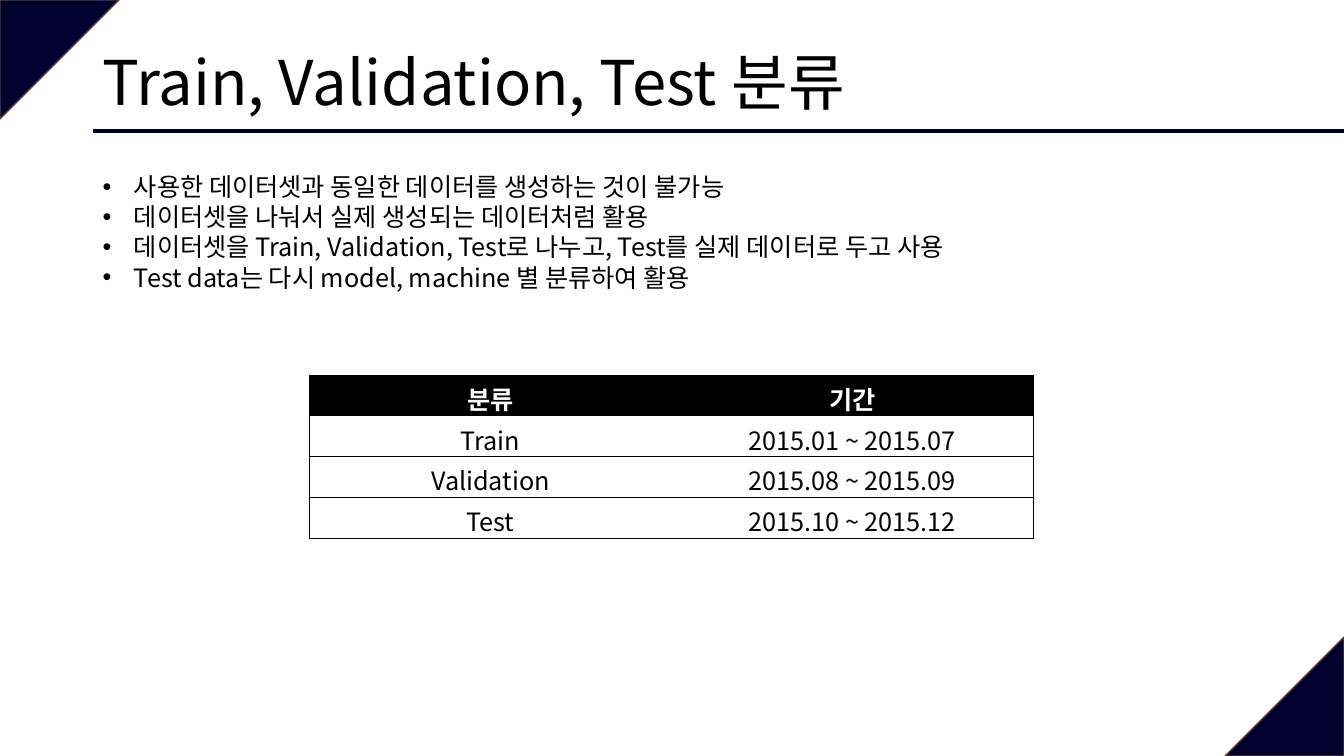
from lxml import etree
from pptx import Presentation
from pptx.dml.color import RGBColor
from pptx.enum.shapes import MSO_CONNECTOR, MSO_SHAPE
from pptx.enum.text import MSO_ANCHOR, MSO_AUTO_SIZE, PP_ALIGN
from pptx.oxml.ns import qn
from pptx.util import Inches, Pt

NAVY = RGBColor(0x00, 0x00, 0x2F)
BROWN = RGBColor(0x5B, 0x3F, 0x33)
BLACK = RGBColor(0x00, 0x00, 0x00)
WHITE = RGBColor(0xFF, 0xFF, 0xFF)
FONT = "Noto Sans CJK KR"


def write(paragraph, text, size, color=BLACK, bold=False):
    run = paragraph.add_run()
    run.text = text
    style = {"name": FONT, "size": Pt(size), "bold": bold}
    for name, value in style.items():
        setattr(run.font, name, value)
    run.font.color.rgb = color
    latin = run.font._element.find(qn("a:latin"))
    latin.addnext(etree.Element(qn("a:ea"), typeface=FONT))


def add_border(cell, position, side, visible):
    """Insert one cell edge; position keeps the order the schema asks for."""
    line = etree.Element(qn("a:ln" + side), w=str(Pt(0.5)))
    if visible:
        fill = etree.SubElement(line, qn("a:solidFill"))
        etree.SubElement(fill, qn("a:srgbClr"), val=str(BLACK))
    else:
        etree.SubElement(line, qn("a:noFill"))
    cell._tc.get_or_add_tcPr().insert(position, line)


prs = Presentation()
prs.slide_width = Inches(13.33)
prs.slide_height = Inches(7.5)
slide = prs.slides.add_slide(prs.slide_layouts[5])

# Corner triangles and title rule
for left, top, rotation in [(0, 0, 90), (12.15, 6.32, 270)]:
    corner = slide.shapes.add_shape(
        MSO_SHAPE.ISOSCELES_TRIANGLE, Inches(left), Inches(top), Inches(1.18), Inches(1.18))
    corner.adjustments[0] = 0
    corner.rotation = rotation
    corner.shadow.inherit = False
    corner.fill.solid()
    corner.fill.fore_color.rgb = NAVY
    corner.line.color.rgb = BROWN
    corner.line.width = Pt(1)

title_rule = slide.shapes.add_connector(
    MSO_CONNECTOR.STRAIGHT, Inches(0.92), Inches(1.3), Inches(13.33), Inches(1.3))
title_rule.line.color.rgb = NAVY
title_rule.line.width = Pt(2.25)
etree.SubElement(title_rule._element.spPr, qn("a:effectLst"))

# Title
title = slide.shapes.title
title.left, title.top = Inches(0.92), Inches(0.4)
title.width, title.height = Inches(12.42), Inches(0.9)
title.text_frame.vertical_anchor = MSO_ANCHOR.MIDDLE
title.text_frame.auto_size = MSO_AUTO_SIZE.NONE
heading = title.text_frame.paragraphs[0]
heading.alignment = PP_ALIGN.LEFT
heading.line_spacing = 0.9
write(heading, "Train, Validation, Test 분류", 44)

# Bullets
points = [
    "사용한 데이터셋과 동일한 데이터를 생성하는 것이 불가능",
    "데이터셋을 나눠서 실제 생성되는 데이터처럼 활용",
    "데이터셋을 Train, Validation, Test로 나누고, Test를 실제 데이터로 두고 사용",
    "Test data는 다시 model, machine 별 분류하여 활용",
]
notes = slide.shapes.add_textbox(
    Inches(0.92), Inches(1.65), Inches(10.39), Inches(1.31)).text_frame
notes.word_wrap = True
notes.auto_size = MSO_AUTO_SIZE.SHAPE_TO_FIT_TEXT
for index, point in enumerate(points):
    paragraph = notes.add_paragraph() if index else notes.paragraphs[0]
    properties = paragraph._p.get_or_add_pPr()
    properties.set("marL", str(Inches(0.31)))
    properties.set("indent", str(-Inches(0.31)))
    etree.SubElement(properties, qn("a:buFont"), typeface="Arial")
    etree.SubElement(properties, qn("a:buChar"), char="•")
    write(paragraph, point, 18)

# Split periods
periods = [
    ("분류", "기간"),
    ("Train", "2015.01 ~ 2015.07"),
    ("Validation", "2015.08 ~ 2015.09"),
    ("Test", "2015.10 ~ 2015.12"),
]
table = slide.shapes.add_table(
    len(periods), 2, Inches(3.07), Inches(3.72), Inches(7.18), Inches(1.62)).table
table.horz_banding = False
for row_index, row in enumerate(periods):
    is_header = row_index == 0
    for column_index, text in enumerate(row):
        cell = table.cell(row_index, column_index)
        cell.fill.solid()
        cell.fill.fore_color.rgb = BLACK if is_header else WHITE
        paragraph = cell.text_frame.paragraphs[0]
        paragraph.alignment = PP_ALIGN.CENTER
        write(paragraph, text, 18, WHITE if is_header else BLACK, is_header)
        edges = {"L": column_index == 0, "R": column_index == 1, "T": True, "B": True}
        for position, (side, visible) in enumerate(edges.items()):
            add_border(cell, position, side, visible)

prs.save("out.pptx")
